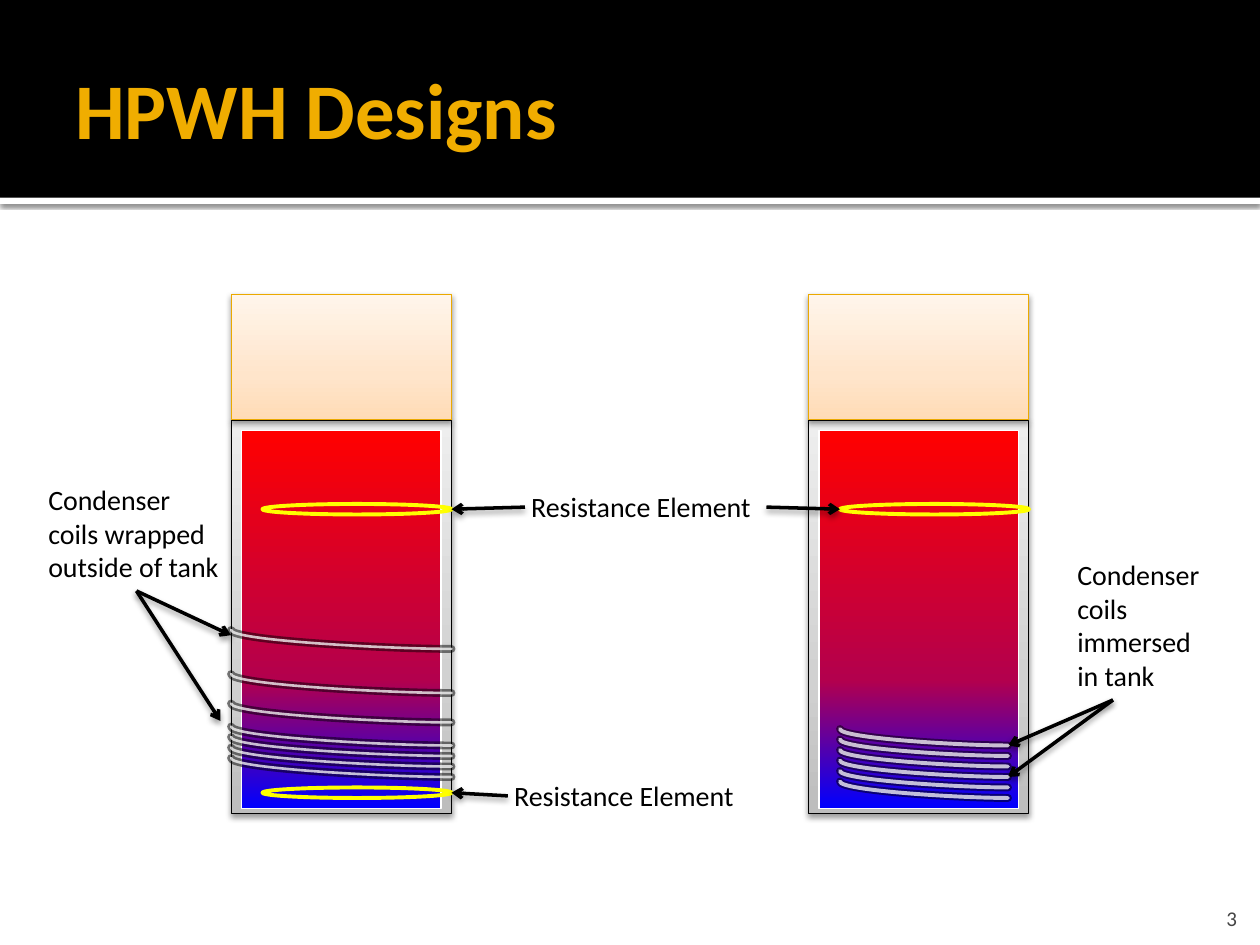
from lxml.etree import SubElement
from pptx import Presentation
from pptx.dml.color import RGBColor
from pptx.enum.shapes import MSO_CONNECTOR, MSO_SHAPE
from pptx.enum.text import MSO_ANCHOR, MSO_AUTO_SIZE, PP_ALIGN
from pptx.oxml.ns import qn
from pptx.util import Pt

SOFT_SHADOW = (38, 3.5, 2)
BAND_SHADOW = (60, 2.5, 0.8)
STEEL = [(0, "BDBDBD"), (35, "D1D1D1"), (100, "EEEEEE")]
WATER = [(0, "FF0000"), (66, "B3004D"), (100, "0000FF")]
HEAT_PUMP = [(0, "FFDBB5"), (35, "FFE5CB"), (100, "FFF5EB")]

TANK_TOP, TANK_WIDTH, TANK_HEIGHT = 240, 126, 225
HEAT_PUMP_HEIGHT = 72
COIL_CURVE = [(1, 1), (0.71, 1), (0, 0.55), (0, 0)]
TANKS = [
    {"left": 132, "elements": [288, 450], "coil_inset": 0, "coil_size": (126, 10.8),
     "coil_bottoms": [370.8, 396, 412.8, 426, 432, 438, 444], "highlight": 1.5},
    {"left": 462, "elements": [288], "coil_inset": 18, "coil_size": (96, 9.4),
     "coil_bottoms": [426, 432, 438, 444, 450, 456], "highlight": 2.25},
]

LABELS = [
    {"text": "Resistance Element", "box": (300, 276.5, 138, 26.6),
     "arrows": [(1, None, (258, 291)), (3, None, (480, 291))]},
    {"text": "Resistance Element", "box": (290.2, 441.5, 138, 26.6),
     "arrows": [(1, None, (258, 453))]},
    {"text": "Condenser coils wrapped outside of tank", "box": (24, 272.2, 108, 65.5),
     "arrows": [(2, None, (132, 363)), (2, None, (126, 412))]},
    {"text": "Condenser coils immersed in tank", "box": (612, 315, 84, 85),
     "arrows": [(None, (636, 400), (576, 426)), (None, (636, 400), (576, 444))]},
]


def color(hex_value):
    return RGBColor.from_string(hex_value)


def set_alpha(color_element, percent):
    SubElement(color_element, qn("a:alpha"), val=str(percent * 1000))


def add_shadow(effects, opacity, blur, distance):
    shadow = SubElement(effects, qn("a:outerShdw"), blurRad=str(Pt(blur)),
                        dist=str(Pt(distance)), dir="5400000", rotWithShape="0")
    set_alpha(SubElement(shadow, qn("a:srgbClr"), val="000000"), opacity)


def set_gradient(shape, stops, angle):
    shape.fill.gradient()
    shape.fill.gradient_angle = angle
    stop_list = shape._element.spPr.find(qn("a:gradFill")).find(qn("a:gsLst"))
    for stop in list(stop_list):
        stop_list.remove(stop)
    for position, hex_value in stops:
        stop = SubElement(stop_list, qn("a:gs"), pos=str(position * 1000))
        SubElement(stop, qn("a:srgbClr"), val=hex_value)


def set_line(shape, hex_value, width):
    shape.line.color.rgb = color(hex_value)
    shape.line.width = Pt(width)


def add_shape(slide, kind, box, fill=None, angle=90, line=None, shadow=None):
    shape = slide.shapes.add_shape(kind, *map(Pt, box))
    if fill is None:
        shape.fill.background()
    elif isinstance(fill, str):
        shape.fill.solid()
        shape.fill.fore_color.rgb = color(fill)
    else:
        set_gradient(shape, fill, angle)
    if line:
        set_line(shape, *line)
    else:
        shape.line.fill.background()
    shape.shadow.inherit = False
    if shadow:
        add_shadow(shape._element.spPr.find(qn("a:effectLst")), *shadow)
    return shape


def add_text(slide, text, box, size, hex_value, margins, anchor=MSO_ANCHOR.TOP,
             alignment=PP_ALIGN.LEFT, bold=False):
    shape = slide.shapes.add_textbox(*map(Pt, box))
    frame = shape.text_frame
    frame.word_wrap = True
    frame.vertical_anchor = anchor
    frame.margin_left, frame.margin_top, frame.margin_right, frame.margin_bottom = map(Pt, margins)
    frame.text = text
    paragraph = frame.paragraphs[0]
    paragraph.alignment = alignment
    font = paragraph.runs[0].font
    font.name, font.size, font.bold = "Calibri", Pt(size), bold
    font.color.rgb = color(hex_value)
    return shape


def add_tank(slide, tank):
    left = tank["left"]
    rectangle = MSO_SHAPE.RECTANGLE
    add_shape(slide, rectangle, (left, TANK_TOP, TANK_WIDTH, TANK_HEIGHT), STEEL,
              line=("000000", 0.5), shadow=SOFT_SHADOW)
    add_shape(slide, rectangle, (left + 6, TANK_TOP + 6, TANK_WIDTH - 12, TANK_HEIGHT - 9), WATER,
              angle=270, line=("FFFFFF", 1))
    add_shape(slide, rectangle, (left, TANK_TOP - HEAT_PUMP_HEIGHT, TANK_WIDTH, HEAT_PUMP_HEIGHT),
              HEAT_PUMP, line=("EBA900", 0.5), shadow=SOFT_SHADOW)
    for top in tank["elements"]:
        add_shape(slide, MSO_SHAPE.OVAL, (left + 18, top, 108, 6), line=("FFFF00", 2.25))


def bend_segments(properties):
    outline = next(properties.iter(qn("a:path")))
    segments = outline.findall(qn("a:lnTo"))
    curve = SubElement(outline, qn("a:cubicBezTo"))
    for segment in segments:
        curve.append(segment[0])
        outline.remove(segment)


def add_coils(shapes, tank, hex_value, width, opacity):
    left = tank["left"] + tank["coil_inset"]
    coil_width, coil_height = tank["coil_size"]
    for bottom in tank["coil_bottoms"]:
        points = [(Pt(left + coil_width * x), Pt(bottom - coil_height * (1 - y)))
                  for x, y in COIL_CURVE]
        builder = shapes.build_freeform(*points[0])
        builder.add_line_segments(points[1:], close=False)
        coil = builder.convert_to_shape()
        coil.fill.background()
        coil.shadow.inherit = False
        set_line(coil, hex_value, width)
        properties = coil._element.spPr
        bend_segments(properties)
        line = properties.find(qn("a:ln"))
        line.set("cap", "rnd")
        set_alpha(line.find(qn("a:solidFill"))[0], opacity)


def add_label(slide, label):
    box = add_text(slide, label["text"], label["box"], 16, "000000", (3.6, 3.6, 3.6, 3.6))
    box.text_frame.auto_size = MSO_AUTO_SIZE.SHAPE_TO_FIT_TEXT
    for side, start, end in label["arrows"]:
        arrow = slide.shapes.add_connector(MSO_CONNECTOR.STRAIGHT, *map(Pt, (start or end) + end))
        if side is not None:
            arrow.begin_connect(box, side)
        set_line(arrow, "000000", 2)
        properties = arrow._element.spPr
        SubElement(properties.find(qn("a:ln")), qn("a:tailEnd"), type="arrow")
        add_shadow(SubElement(properties, qn("a:effectLst")), *SOFT_SHADOW)


def main():
    presentation = Presentation()
    presentation.slide_width, presentation.slide_height = Pt(720), Pt(540)
    slide = presentation.slides.add_slide(presentation.slide_layouts[6])
    add_shape(slide, MSO_SHAPE.RECTANGLE, (0, 113, 720, 3.6), "FFFFFF", shadow=BAND_SHADOW)
    add_shape(slide, MSO_SHAPE.RECTANGLE, (0, 0, 720, 113), "000000")
    add_text(slide, "HPWH Designs", (36, 12, 648, 99), 45, "F0AD00", (7.2, 3.6, 3.6, 3.6),
             MSO_ANCHOR.MIDDLE, bold=True)
    add_text(slide, "3", (656.3, 510, 57.6, 21.6), 12, "454545", (7.2, 3.6, 7.2, 0),
             MSO_ANCHOR.BOTTOM, PP_ALIGN.RIGHT)
    for tank in TANKS:
        add_tank(slide, tank)
        add_coils(slide.shapes, tank, "000000", 4.5, 50)
    for label in LABELS:
        add_label(slide, label)
    for tank in TANKS:
        highlights = slide.shapes.add_group_shape()
        add_coils(highlights.shapes, tank, "FFFFFF", tank["highlight"], 75)
    presentation.save("out.pptx")


if __name__ == "__main__":
    main()
